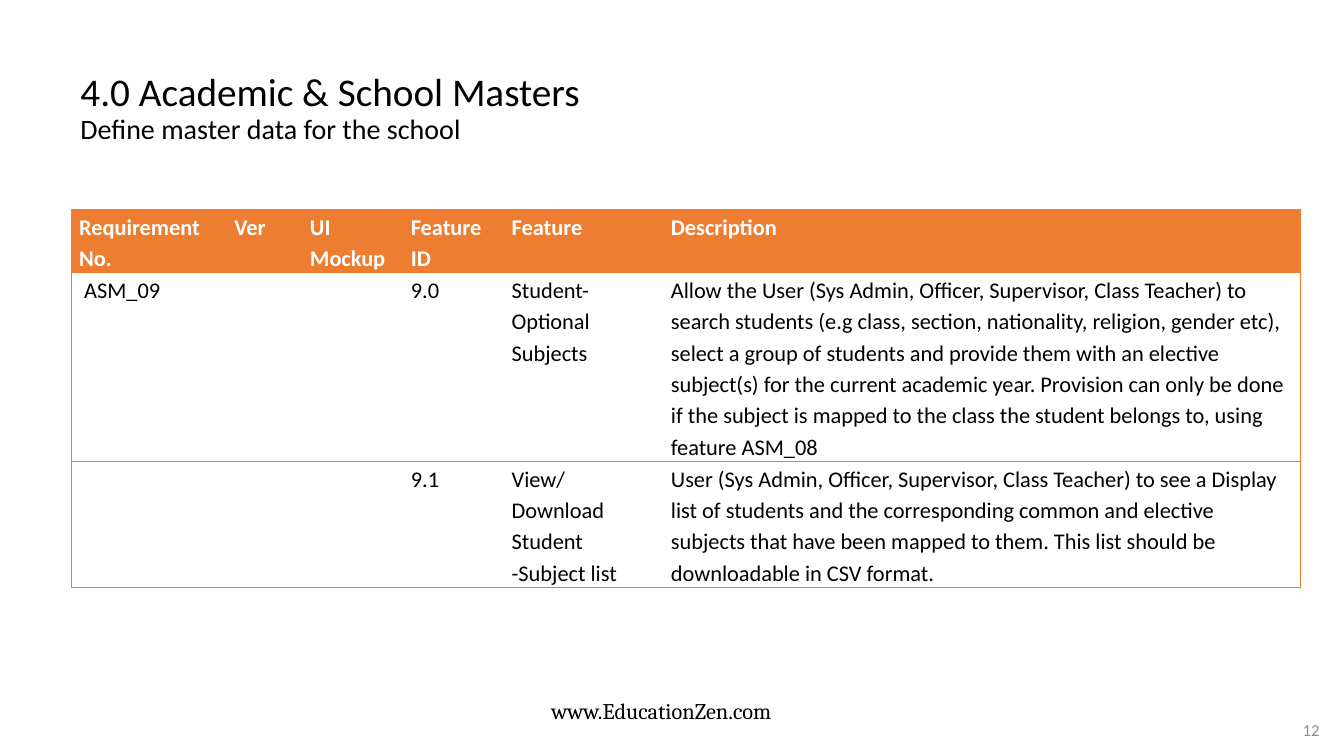
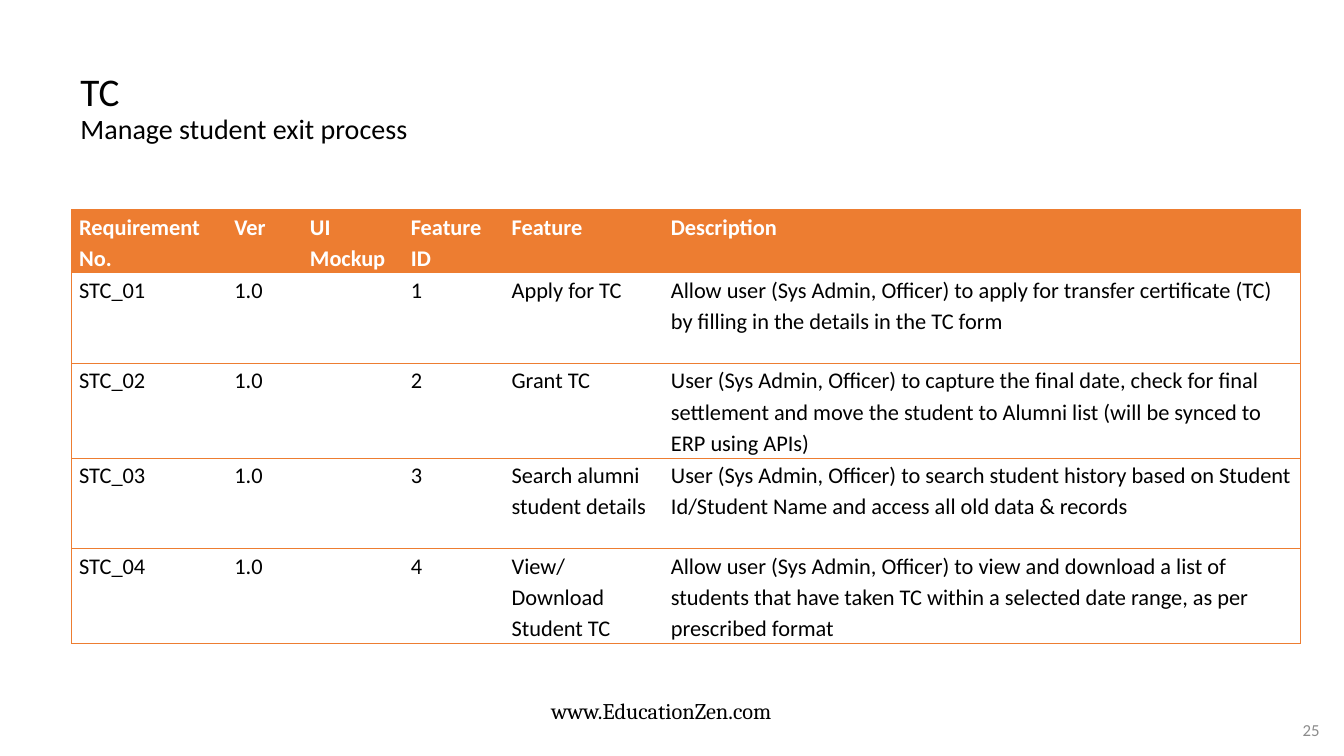
from lxml.etree import SubElement
from pptx import Presentation
from pptx.dml.color import RGBColor
from pptx.enum.text import MSO_ANCHOR as Anchor, PP_ALIGN as Align
from pptx.oxml.ns import qn
from pptx.util import Inches, Pt

WIDTH, HEIGHT = 13.33, 7.5
ORANGE, BLACK, WHITE, GREY = "ED7D31", "000000", "FFFFFF", "8C8C8C"

TITLE = dict(name="Calibri", size=Pt(28), color=BLACK)
SUBTITLE = TITLE | dict(size=Pt(20))
FOOTER = dict(name="Cambria", size=Pt(16), color=BLACK)
NUMBER = dict(name="Calibri", size=Pt(12), color=GREY)
BODY = dict(name="Calibri", size=Pt(16), color=BLACK, bold=False)
HEAD = BODY | dict(color=WHITE, bold=True)
CELL = dict(margin_left=Pt(5.4), margin_right=Pt(5.4),
            margin_top=0, margin_bottom=0, vertical_anchor=Anchor.TOP)

HEADINGS = ["Requirement No.", "Ver", "UI Mockup", "Feature ID", "Feature", "Description"]
COLUMNS = [1.54, 0.75, 1, 1, 1.58, 6.32]
HEAD_LINES = 2
LINE, MIN_BODY_ROW = Pt(22.5), Inches(0.9)

# "lines" counts the text lines in the tallest cell of each row.
SLIDES = [
    dict(number="12", title="4.0 Academic & School Masters",
         subtitle="Define master data for the school", lines=[6, 4], rows=[
        [" ASM_09", "", "", "9.0", "Student-Optional Subjects",
         "Allow the User (Sys Admin, Officer, Supervisor, Class Teacher) to search students "
         "(e.g class, section, nationality, religion, gender etc), select a group of students "
         "and provide them with an elective subject(s) for the current academic year. "
         "Provision can only be done if the subject is mapped to the class the student "
         "belongs to, using feature ASM_08"],
        ["", "", "", "9.1", "View/Download Student -Subject list",
         "User (Sys Admin, Officer, Supervisor, Class Teacher) to see a Display list of "
         "students and the corresponding common and elective subjects that have been mapped "
         "to them. This list should be downloadable in CSV format."],
    ]),
    dict(number="25", title="TC", subtitle="Manage student exit process",
         lines=[2, 3, 2, 3], rows=[
        ["STC_01", "1.0", "", "1", "Apply for TC",
         "Allow user (Sys Admin, Officer) to apply for transfer certificate (TC) by filling "
         "in the details in the TC form"],
        ["STC_02", "1.0", "", "2", "Grant TC",
         "User (Sys Admin, Officer) to capture the final date, check for final settlement "
         "and move the student to Alumni list (will be synced to ERP using APIs)"],
        ["STC_03", "1.0", "", "3", "Search alumni student details",
         "User (Sys Admin, Officer) to search student history based on Student Id/Student "
         "Name and access all old data & records"],
        ["STC_04", "1.0", "", "4", "View/Download Student TC",
         "Allow user (Sys Admin, Officer) to view and download a list of students that have "
         "taken TC within a selected date range, as per prescribed format"],
    ]),
]


def rgb(value):
    return RGBColor.from_string(value)


def set_all(target, values):
    for name, value in values.items():
        setattr(target, name, value)


def add_run(p, text, style):
    r = p.add_run()
    r.text = text
    set_all(r.font, {k: v for k, v in style.items() if k != "color"})
    r.font.color.rgb = rgb(style["color"])


def add_box(s, left, top, width, height, lines, align=Align.LEFT,
            anchor=Anchor.TOP, spacing=1.0):
    """Add one paragraph whose (text, style) lines are split by line breaks."""
    tf = s.shapes.add_textbox(*map(Inches, (left, top, width, height))).text_frame
    set_all(tf, dict(word_wrap=True, vertical_anchor=anchor))
    p = tf.paragraphs[0]
    set_all(p, dict(alignment=align, line_spacing=spacing))
    for i, (text, style) in enumerate(lines):
        if i:
            p.add_line_break()
        add_run(p, text, style)


def set_borders(cell, sides):
    """Draw the named sides in orange and clear the others."""
    tc_pr = cell._tc.get_or_add_tcPr()
    for side in "LRTB":
        ln = SubElement(tc_pr, qn(f"a:ln{side}"), w=str(Pt(0.5)))
        if side in sides:
            fill = SubElement(ln, qn("a:solidFill"))
            SubElement(fill, qn("a:srgbClr"), val=ORANGE)
        else:
            SubElement(ln, qn("a:noFill"))


def fill_cell(cell, text, style, sides, fill=None):
    set_all(cell, CELL)
    set_borders(cell, sides)
    if fill:
        cell.fill.solid()
        cell.fill.fore_color.rgb = rgb(fill)
    else:
        cell.fill.background()
    p = cell.text_frame.paragraphs[0]
    p.line_spacing = 1.15
    if text:
        add_run(p, text, style)
    else:
        p.font.size = style["size"]


def add_requirements(s, rows, lines):
    heights = [HEAD_LINES * LINE] + [max(MIN_BODY_ROW, n * LINE) for n in lines]
    left, top, width = map(Inches, (0.71, 2.08, sum(COLUMNS)))
    table = s.shapes.add_table(len(heights), len(COLUMNS), left, top,
                               width, sum(heights)).table
    for column, size in zip(table.columns, COLUMNS):
        column.width = Inches(size)
    for row, height in zip(table.rows, heights):
        row.height = height
    for i, texts in enumerate([HEADINGS] + rows):
        style, fill = (BODY, None) if i else (HEAD, ORANGE)
        for j, text in enumerate(texts):
            sides = "TB" + "L" * (j == 0) + "R" * (j == len(COLUMNS) - 1)
            fill_cell(table.cell(i, j), text, style, sides, fill)


def add_slide(prs, number, title, subtitle, rows, lines):
    s = prs.slides.add_slide(prs.slide_layouts[6])
    add_box(s, 4.75, 6.87, 3, 0.37, [("www.EducationZen.com", FOOTER)], Align.RIGHT)
    add_box(s, 12.72, 7.04, 0.57, 0.4, [(number, NUMBER)], Align.CENTER, Anchor.MIDDLE)
    add_box(s, 0.7, 0.42, 10.96, 1.33, [(title, TITLE), (subtitle, SUBTITLE)],
            anchor=Anchor.MIDDLE, spacing=0.9)
    add_requirements(s, rows, lines)


def main():
    prs = Presentation()
    set_all(prs, dict(slide_width=Inches(WIDTH), slide_height=Inches(HEIGHT)))
    for content in SLIDES:
        add_slide(prs, **content)
    prs.save("out.pptx")


if __name__ == "__main__":
    main()
